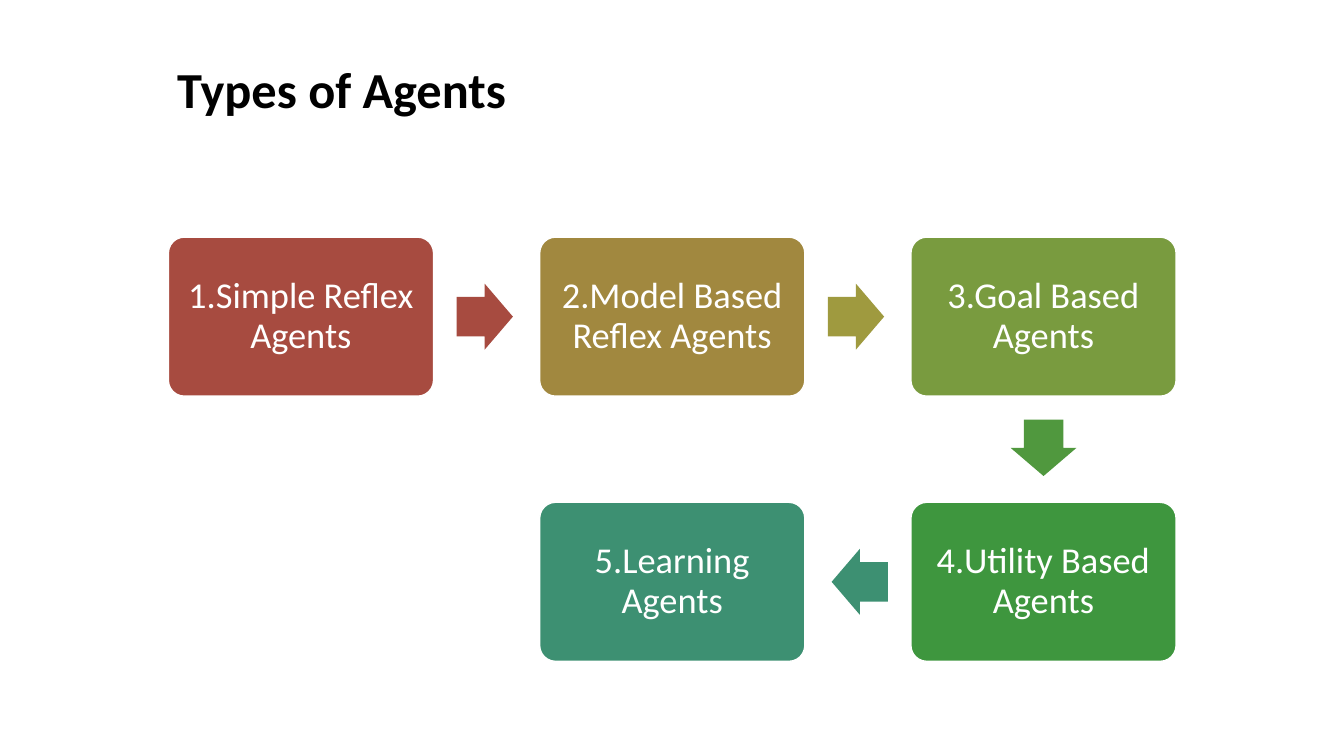
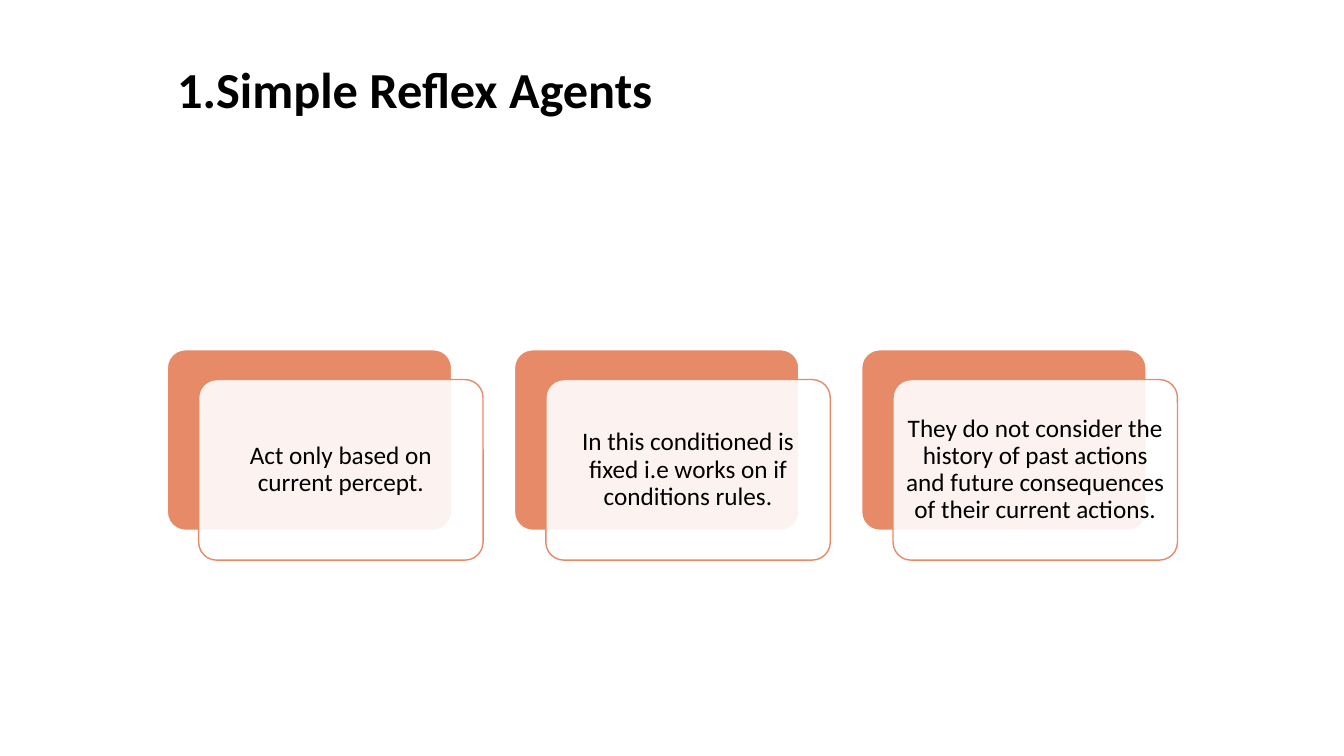
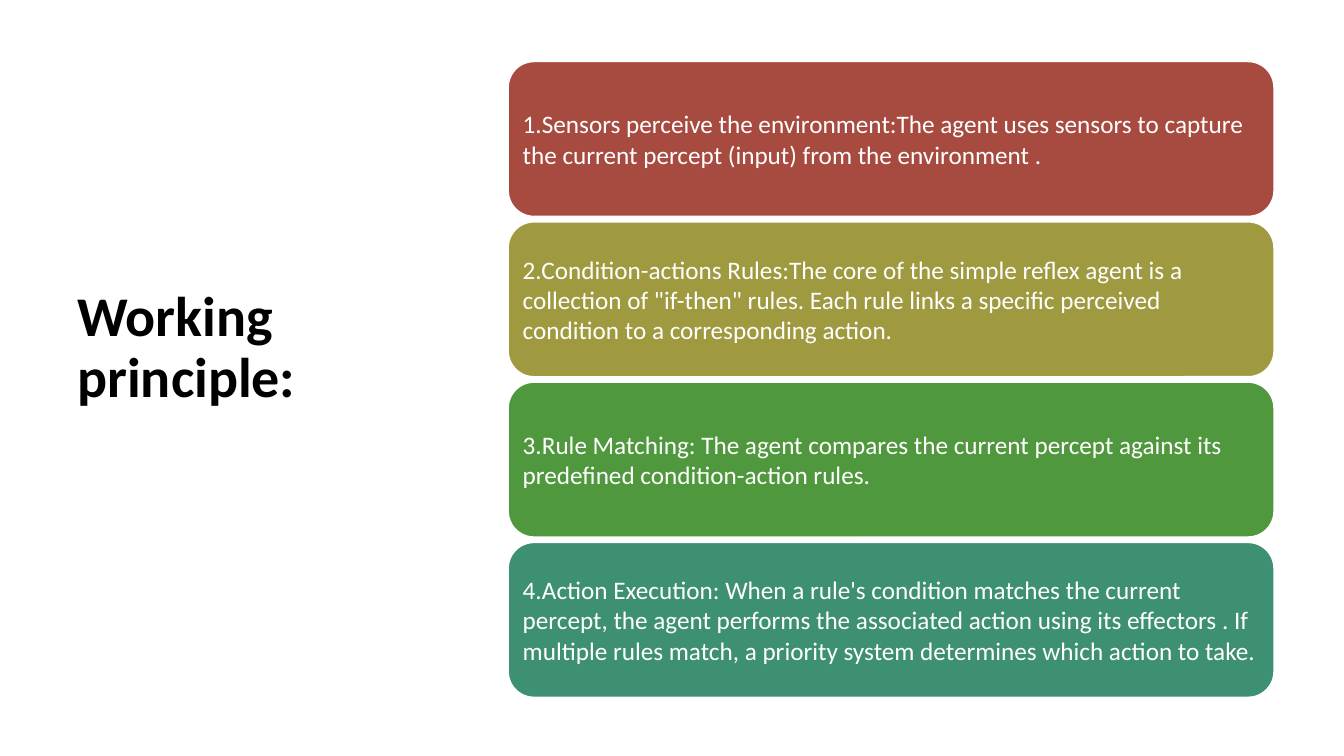
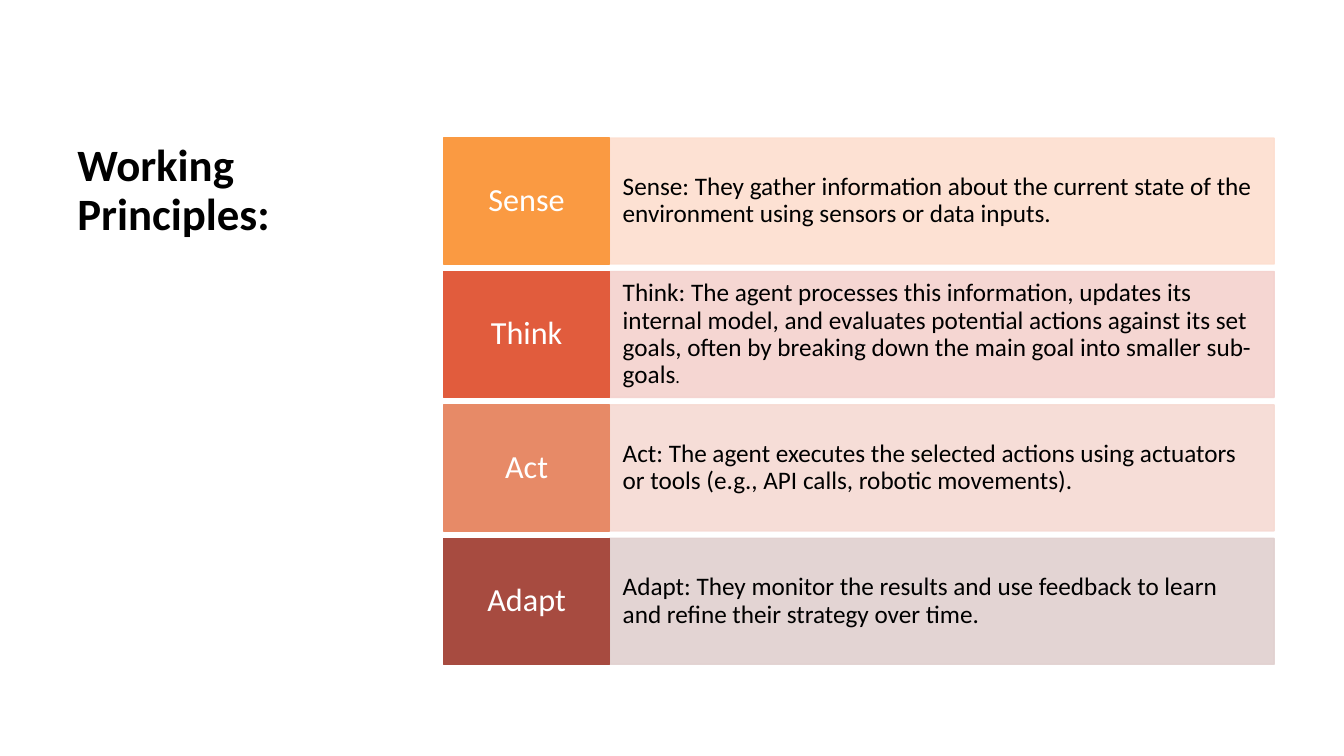
"""Build four slides about types of agents and how they work."""
import math

from pptx import Presentation
from pptx.dml.color import RGBColor
from pptx.enum import shapes, text
from pptx.oxml.ns import qn
from pptx.util import Pt
from lxml import etree

BLACK = RGBColor(0x00, 0x00, 0x00)
WHITE = RGBColor(0xFF, 0xFF, 0xFF)
BRICK = RGBColor(0xA7, 0x4B, 0x40)
OCHRE = RGBColor(0xA1, 0x88, 0x3F)
OLIVE = RGBColor(0x9F, 0x9A, 0x3F)
MOSS = RGBColor(0x79, 0x9B, 0x3F)
LEAF = RGBColor(0x50, 0x98, 0x3E)
GREEN = RGBColor(0x3E, 0x96, 0x3E)
TEAL = RGBColor(0x3D, 0x90, 0x72)
SALMON = RGBColor(0xE7, 0x8A, 0x67)
AMBER = RGBColor(0xFA, 0x9A, 0x42)
VERMILION = RGBColor(0xE1, 0x5C, 0x3D)
PALE_AMBER = RGBColor(0xFD, 0xDE, 0xCF)
PALE_VERMILION = RGBColor(0xF4, 0xD2, 0xCE)
PALE_SALMON = RGBColor(0xF6, 0xDA, 0xD3)
PALE_BRICK = RGBColor(0xE1, 0xD0, 0xCF)

FONT = "Calibri"
RECTANGLE = shapes.MSO_SHAPE.RECTANGLE
ROUNDED = shapes.MSO_SHAPE.ROUNDED_RECTANGLE
ARROW = shapes.MSO_SHAPE.RIGHT_ARROW
LEFT, CENTER = text.PP_ALIGN.LEFT, text.PP_ALIGN.CENTER
TOP, MIDDLE = text.MSO_ANCHOR.TOP, text.MSO_ANCHOR.MIDDLE
FILL_ONLY, FILL_AND_LINE = "a:solidFill/a:srgbClr", ".//a:srgbClr"
WIDE_TITLE = (119.5, 43.2, 721.5, 89.3)

AGENT_TYPES = [
    ("1.Simple Reflex Agents", BRICK, 0, 0),
    ("2.Model Based Reflex Agents", OCHRE, 1, 0),
    ("3.Goal Based Agents", MOSS, 2, 0),
    ("4.Utility Based Agents", GREEN, 2, 1),
    ("5.Learning Agents", TEAL, 1, 1),
]
ARROW_COLORS = [BRICK, OLIVE, LEAF, TEAL]

REFLEX_TRAITS = [
    "Act only based on current percept.",
    "In this conditioned is fixed i.e works on if conditions rules.",
    "They do not consider the history of past actions and future consequences of their current actions.",
]

REFLEX_STEPS = [
    ("1.Sensors perceive the environment:The agent uses sensors to capture the current percept "
     "(input) from the environment .", BRICK),
    ("2.Condition-actions Rules:The core of the simple reflex agent is a collection of \"if-then\" "
     "rules. Each rule links a specific perceived condition to a corresponding action.", OLIVE),
    ("3.Rule Matching: The agent compares the current percept against its predefined "
     "condition-action rules.", LEAF),
    ("4.Action Execution: When a rule's condition matches the current percept, the agent performs "
     "the associated action using its effectors . If multiple rules match, a priority system "
     "determines which action to take.", TEAL),
]

GOAL_STEPS = [
    ("Sense", AMBER, PALE_AMBER,
     [("Sense: They gather information about the current state of the environment using sensors "
       "or data inputs.", 18)]),
    ("Think", VERMILION, PALE_VERMILION,
     [("Think: The agent processes this information, updates its internal model, and evaluates "
       "potential actions against its set goals, often by breaking down the main goal into "
       "smaller sub-goals", 18), (".", 13)]),
    ("Act", SALMON, PALE_SALMON,
     [("Act: The agent executes the selected actions using actuators or tools (e.g., API calls, "
       "robotic movements).", 18)]),
    ("Adapt", BRICK, PALE_BRICK,
     [("Adapt: They monitor the results and use feedback to learn and refine their strategy "
       "over time.", 18)]),
]


def write(shape, runs, color, align=CENTER, anchor=MIDDLE, insets=(5, 5, 5, 5), spacing=0.9, bold=False):
    frame = shape.text_frame
    left, top, right, bottom = map(Pt, insets)
    layout = dict(word_wrap=True, vertical_anchor=anchor, margin_left=left, margin_top=top,
                  margin_right=right, margin_bottom=bottom)
    for name, value in layout.items():
        setattr(frame, name, value)
    paragraph = frame.paragraphs[0]
    paragraph.alignment = align
    paragraph.line_spacing = spacing
    for words, size in runs:
        run = paragraph.add_run()
        run.text = words
        run.font.color.rgb = color
        for name, value in dict(name=FONT, size=Pt(size), bold=bold).items():
            setattr(run.font, name, value)


def add_title(slide, words, box, size=36, anchor=TOP, bottom=3.6):
    shape = slide.shapes.add_textbox(*map(Pt, box))
    write(shape, [(words, size)], BLACK, LEFT, anchor, (7.2, 3.6, 7.2, bottom), bold=True)


def add_block(slide, kind, box, fill, line=None, adjustments=(), faded=None):
    shape = slide.shapes.add_shape(kind, *map(Pt, box))
    shape.shadow.inherit = False
    shape.fill.solid()
    shape.fill.fore_color.rgb = fill
    if line is None:
        shape.line.fill.background()
    else:
        shape.line.color.rgb = line
        shape.line.width = Pt(1)
    for index, value in enumerate(adjustments):
        shape.adjustments[index] = value
    if faded:
        for color in shape._element.spPr.xpath(faded):
            etree.SubElement(color, qn("a:alpha")).set("val", "90000")
    return shape


def build_agent_types(slide):
    add_title(slide, "Types of Agents", WIDE_TITLE)
    width, height = 189.4, 113.6
    arrow_width, arrow_height = 40.2, 47
    centers = []
    for words, color, column, row in AGENT_TYPES:
        left, top = 120.3 + 265.2 * column, 169.4 + 189.4 * row
        box = add_block(slide, ROUNDED, (left, top, width, height), color, WHITE, [0.1])
        write(box, [(words, 26)], WHITE, insets=(7.8, 7.8, 7.8, 7.8))
        centers.append((left + width / 2, top + height / 2))
    for (x1, y1), (x2, y2), color in zip(centers, centers[1:], ARROW_COLORS):
        x, y = x1 + (x2 - x1) * 0.495, y1 + (y2 - y1) * 0.495
        place = (x - arrow_width / 2, y - arrow_height / 2, arrow_width, arrow_height)
        arrow = add_block(slide, ARROW, place, color, adjustments=[0.6, 0.5])
        arrow.rotation = math.degrees(math.atan2(y2 - y1, x2 - x1))


def build_reflex_traits(slide):
    add_title(slide, "1.Simple Reflex Agents", WIDE_TITLE)
    width, height = 203.2, 129
    for index, words in enumerate(REFLEX_TRAITS):
        left, top = 119.5 + 248 * index, 249.8
        add_block(slide, ROUNDED, (left, top, width, height), SALMON, WHITE, [0.1])
        card = add_block(slide, ROUNDED, (left + 22.4, top + 21.3, width, height), WHITE, SALMON,
                         [0.1], FILL_ONLY)
        write(card, [(words, 18)], BLACK)


def build_reflex_steps(slide):
    add_title(slide, "Working principle:", (48.2, 43.2, 275, 455.8), 40, MIDDLE, 47.5)
    for index, (words, color) in enumerate(REFLEX_STEPS):
        bar = add_block(slide, ROUNDED, (363, 44 + 114.5 * index, 547, 110.6), color, WHITE)
        write(bar, [(words, 18)], WHITE, LEFT, spacing=1.0)


def build_goal_steps(slide):
    add_title(slide, "Working Principles:", (48.2, 98.6, 229, 375.8), 32)
    left, label_width, detail_width, height = 316.8, 118.8, 474.5, 90
    for index, (label, color, pale, runs) in enumerate(GOAL_STEPS):
        top = 98.6 + 95.3 * index
        detail = add_block(slide, RECTANGLE, (left + label_width, top, detail_width, height), pale,
                           pale, faded=FILL_AND_LINE)
        write(detail, runs, BLACK, LEFT, insets=(9.2, 4, 9.2, 4))
        tag = add_block(slide, RECTANGLE, (left, top, label_width, height), color, color)
        write(tag, [(label, 23)], WHITE, insets=(6.3, 8.9, 6.3, 8.9))


def main():
    presentation = Presentation()
    presentation.slide_width, presentation.slide_height = Pt(960), Pt(540)
    for build in (build_agent_types, build_reflex_traits, build_reflex_steps, build_goal_steps):
        build(presentation.slides.add_slide(presentation.slide_layouts[6]))
    presentation.save("out.pptx")


if __name__ == "__main__":
    main()
